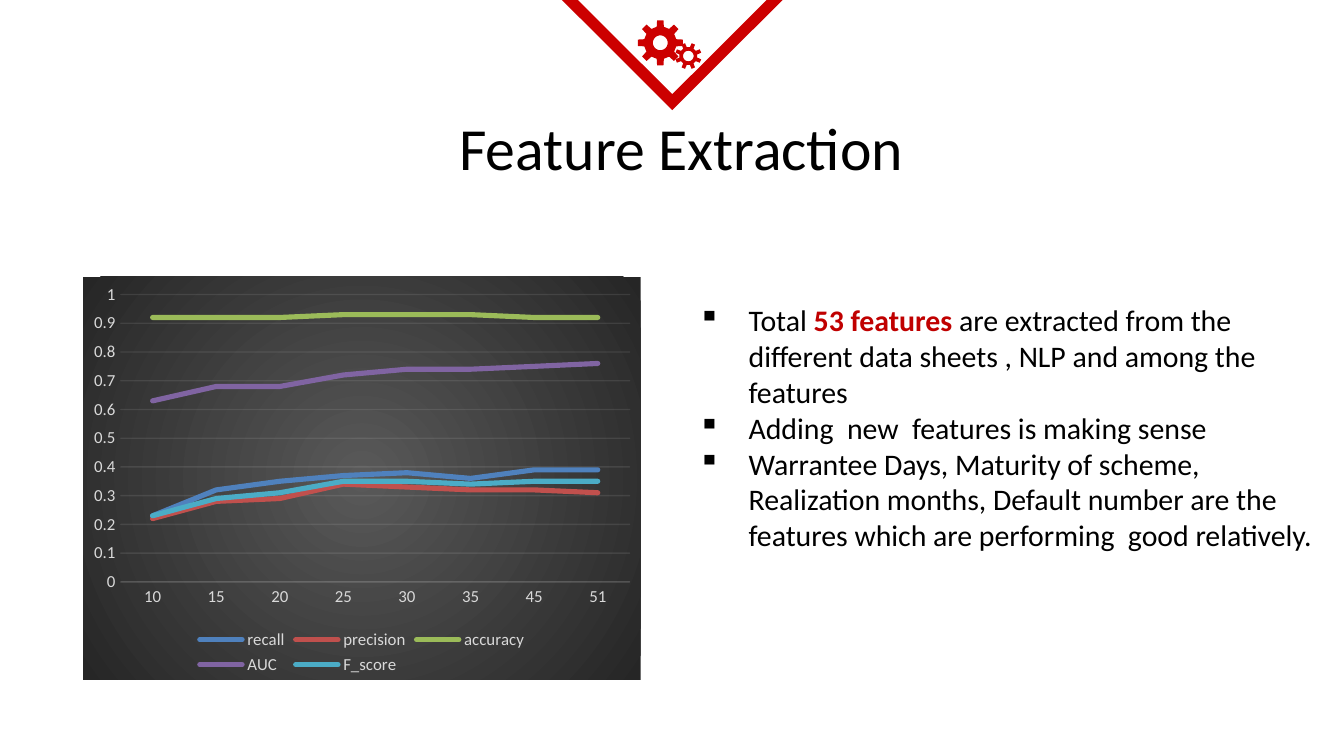
from dataclasses import dataclass
from math import cos, pi, sin

from lxml.etree import SubElement
from pptx import Presentation
from pptx.chart.data import CategoryChartData
from pptx.dml.color import RGBColor
from pptx.enum.chart import XL_CHART_TYPE, XL_LEGEND_POSITION, XL_TICK_MARK
from pptx.enum.shapes import MSO_SHAPE
from pptx.enum.text import MSO_ANCHOR, PP_ALIGN
from pptx.oxml import parse_xml
from pptx.oxml.ns import nsdecls, qn
from pptx.util import Cm, Pt


@dataclass(frozen=True)
class Theme:
    face: str = "Calibri"
    ink: str = "000000"
    red: str = "CC0000"
    strong: str = "C00000"
    pale: str = "D9D9D9"
    grid: str = "F2F2F2"
    core: str = "595959"
    edge: str = "262626"
    lines: tuple = ("4F81BD", "C0504D", "9BBB59", "8064A2", "4BACC6")
    title: int = 32
    body: int = 16
    label: int = 9
    pad: float = 0.25
    indent: float = 0.95


def style(font, face, size, color, bold=False):
    font.name, font.size, font.bold = face, Pt(size), bold
    font.color.rgb = RGBColor.from_string(color)


def write(para, text, **form):
    run = para.add_run()
    run.text = text
    style(run.font, **form)


def ring(x, y, radii, angles):
    """Points around a centre, each with its own radius and angle."""
    return [(Cm(x + r * sin(a)), Cm(y - r * cos(a)))
            for r, a in zip(radii, angles)]


class Board:
    def __init__(self, slide, theme):
        self.slide, self.theme = slide, theme

    def paint(self, shape, color):
        shape.shadow.inherit = False
        shape.fill.solid()
        shape.fill.fore_color.rgb = RGBColor.from_string(color)
        shape.line.fill.background()

    def arrow(self, x, y, w, h, width):
        """Outlined triangle that points down from the top edge."""
        shape = self.slide.shapes.add_shape(
            MSO_SHAPE.ISOSCELES_TRIANGLE, Cm(x), Cm(y), Cm(w), Cm(h))
        shape.rotation = 180
        shape.shadow.inherit = False
        shape.fill.background()
        shape.line.color.rgb = RGBColor.from_string(self.theme.red)
        shape.line.width = Pt(width)
        line = shape.element.spPr.find(qn("a:ln"))
        SubElement(line, qn("a:miter"), lim="800000")

    def gear(self, x, y, tip, root, hole, turn=0, teeth=8):
        step = 2 * pi / teeth
        angles = [turn + n * step + a for n in range(teeth)
                  for a in (-0.22, -0.14, 0.14, 0.22)]
        rim = ring(x, y, [root, tip, tip, root] * teeth, angles)
        eye = ring(x, y, [hole] * 32, [-n * pi / 16 for n in range(32)])
        path = self.slide.shapes.build_freeform(*rim[0], scale=1.0)
        path.add_line_segments(rim[1:], close=True)
        path.move_to(*eye[0])
        path.add_line_segments(eye[1:], close=True)
        self.paint(path.convert_to_shape(), self.theme.red)

    def box(self, x, y, w, h):
        frame = self.slide.shapes.add_textbox(
            Cm(x), Cm(y), Cm(w), Cm(h)).text_frame
        frame.word_wrap = True
        frame.vertical_anchor = MSO_ANCHOR.TOP
        pad = Cm(self.theme.pad)
        frame.margin_left = frame.margin_right = pad
        frame.margin_top = frame.margin_bottom = pad
        return frame

    def title(self, text, *area):
        para = self.box(*area).paragraphs[0]
        para.alignment = PP_ALIGN.CENTER
        write(para, text, face=self.theme.face, size=self.theme.title,
              color=self.theme.ink)

    def bullets(self, items, *area):
        """Each item is a list of (text, strong) parts."""
        look = self.theme
        frame = self.box(*area)
        for n, parts in enumerate(items):
            para = frame.add_paragraph() if n else frame.paragraphs[0]
            props = para._p.get_or_add_pPr()
            props.set("marL", str(Cm(look.indent)))
            props.set("indent", str(-Cm(look.indent)))
            SubElement(props, qn("a:buChar"), char="▪")
            for text, strong in parts:
                write(para, text, face=look.face, size=look.body, bold=strong,
                      color=look.strong if strong else look.ink)

    def rule(self, line):
        line.color.rgb = RGBColor.from_string(self.theme.grid)
        line.width = Pt(0.75)

    def chart(self, cats, rows, *area):
        look = self.theme
        data = CategoryChartData()
        data.categories = cats
        for name, vals in rows.items():
            data.add_series(name, vals)
        chart = self.slide.shapes.add_chart(
            XL_CHART_TYPE.LINE, *map(Cm, area), data).chart
        small = dict(face=look.face, size=look.label, color=look.pale)
        style(chart.font, look.face, 10, look.ink)
        chart.has_title = False
        chart.has_legend = True
        chart.legend.position = XL_LEGEND_POSITION.BOTTOM
        chart.legend.include_in_layout = False
        style(chart.legend.font, **small)

        plot = chart.plots[0]
        plot.vary_by_categories = False
        for series, color in zip(plot.series, look.lines):
            series.smooth = False
            series.format.line.color.rgb = RGBColor.from_string(color)
            series.format.line.width = Pt(2.75)

        across, up = chart.category_axis, chart.value_axis
        for axis in (across, up):
            axis.major_tick_mark = axis.minor_tick_mark = XL_TICK_MARK.NONE
            style(axis.tick_labels.font, **small)
        self.rule(across.format.line)
        up.format.line.fill.background()
        up.has_major_gridlines = True
        self.rule(up.major_gridlines.format.line)
        up.minimum_scale, up.maximum_scale, up.major_unit = 0, 1, 0.1
        self.finish(chart.element)

    def finish(self, root):
        """Round line ends, faint rules and the radial chart ground."""
        for line in root.iter(qn("a:ln")):
            line.set("cap", "rnd")
        for tint in root.iter(qn("a:srgbClr")):
            if tint.get("val") == self.theme.grid:
                SubElement(tint, qn("a:alpha"), val="10000")
        stops = "".join(
            f'<a:gs pos="{pos}"><a:srgbClr val="{color}"/></a:gs>'
            for pos, color in ((0, self.theme.core), (100000, self.theme.edge)))
        root.find(qn("c:chart")).addnext(parse_xml(
            f'<c:spPr {nsdecls("c", "a")}><a:gradFill><a:gsLst>{stops}</a:gsLst>'
            '<a:path path="circle"><a:fillToRect l="50000" t="50000" '
            'r="50000" b="50000"/></a:path></a:gradFill>'
            '<a:ln><a:noFill/></a:ln></c:spPr>'))


def main():
    deck = Presentation()
    deck.slide_width, deck.slide_height = Cm(25.4), Cm(14.29)
    board = Board(deck.slides.add_slide(deck.slide_layouts[6]), Theme())

    board.arrow(10.62, -0.15, 4.17, 2.08, width=6)
    board.gear(12.48, 0.81, tip=0.43, root=0.31, hole=0.14)
    board.gear(13.01, 1.06, tip=0.25, root=0.17, hole=0.1, turn=pi / 8)
    board.title("Feature Extraction", 7.9, 1.85, 9.96, 1.5)
    board.bullets([
        [("Total ", False), ("53 features ", True),
         ("are extracted from the different data sheets , NLP and among "
          "the features", False)],
        [("Adding  new  features is making sense", False)],
        [("Warrantee Days, Maturity of scheme, Realization months, Default "
          "number are the features which are performing  good relatively.",
          False)],
    ], 12.95, 5.46, 12.4, 7.92)
    board.chart(["10", "15", "20", "25", "30", "35", "45", "51"], {
        "recall": (0.23, 0.32, 0.35, 0.37, 0.38, 0.36, 0.39, 0.39),
        "precision": (0.22, 0.28, 0.29, 0.34, 0.33, 0.32, 0.32, 0.31),
        "accuracy": (0.92, 0.92, 0.92, 0.93, 0.93, 0.93, 0.92, 0.92),
        "AUC": (0.63, 0.68, 0.68, 0.72, 0.74, 0.74, 0.75, 0.76),
        "F_score": (0.23, 0.29, 0.31, 0.35, 0.35, 0.34, 0.35, 0.35),
    }, 1.57, 5.23, 10.54, 7.62)
    deck.save("out.pptx")


if __name__ == "__main__":
    main()
